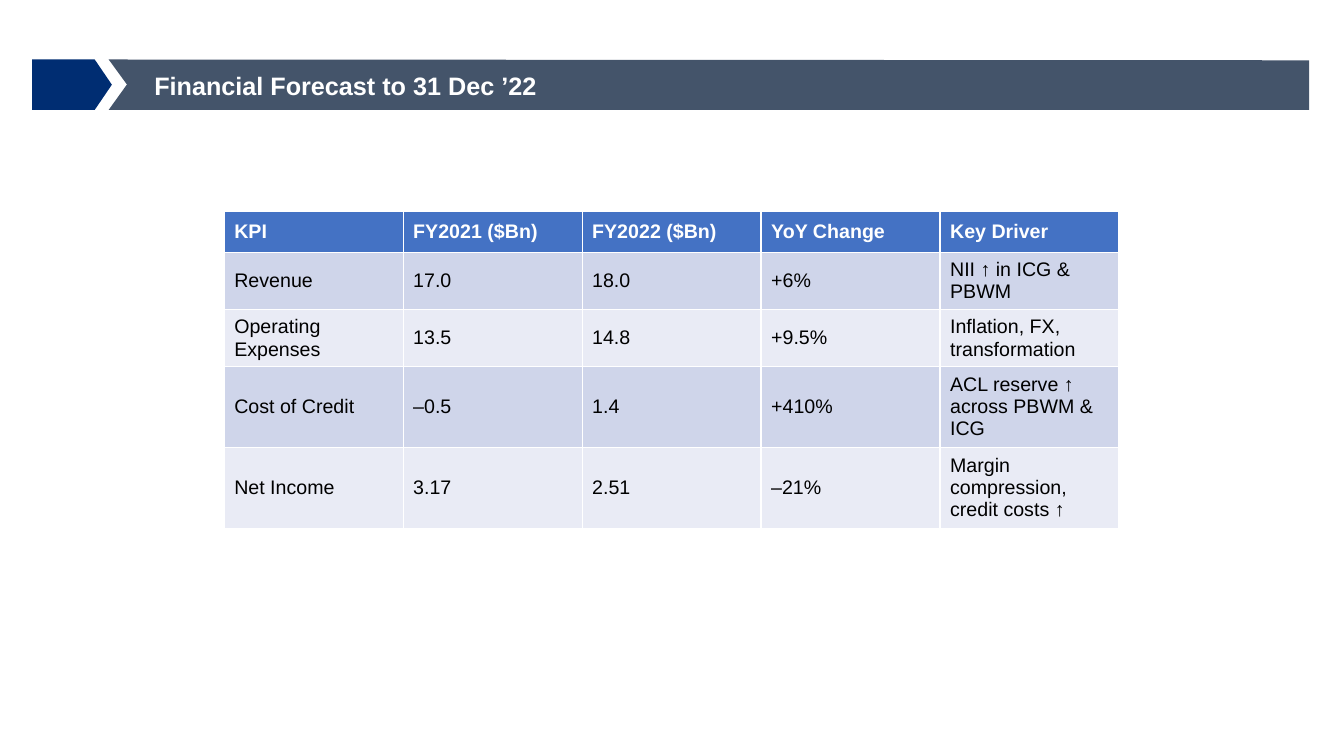
"""Build a slide with a financial forecast table under a title bar."""
from pptx import Presentation
from pptx.dml.color import RGBColor
from pptx.enum import shapes, text
from pptx.util import Cm, Pt

TITLE = "Financial Forecast to 31 Dec ’22"
ROWS = [
    ("KPI", "FY2021 ($Bn)", "FY2022 ($Bn)", "YoY Change", "Key Driver"),
    ("Revenue", "17.0", "18.0", "+6%", "NII ↑ in ICG & PBWM"),
    ("Operating Expenses", "13.5", "14.8", "+9.5%", "Inflation, FX, transformation"),
    ("Cost of Credit", "–0.5", "1.4", "+410%", "ACL reserve ↑ across PBWM & ICG"),
    ("Net Income", "3.17", "2.51", "–21%", "Margin compression, credit costs ↑"),
]
HIGHS = (1.03, 1.37, 1.37, 1.92, 1.92)
WIDE = 4.51
LEFT, TOP = 5.65, 5.33
BAR = [(2.74, 1.5), (32.99, 1.52), (32.99, 2.77), (2.74, 2.77), (3.2, 2.13)]

FONT = "Arial"
NAVY = RGBColor(0x00, 0x2D, 0x72)
SLATE = RGBColor(0x44, 0x54, 0x6A)
BLUE = RGBColor(0x44, 0x72, 0xC4)
BANDS = (RGBColor(0xE9, 0xEB, 0xF5), RGBColor(0xCF, 0xD5, 0xEA))
WHITE = RGBColor(0xFF, 0xFF, 0xFF)
BLACK = RGBColor(0x00, 0x00, 0x00)


def paint(shape, color):
    shape.shadow.inherit = False
    shape.fill.solid()
    shape.fill.fore_color.rgb = color
    shape.line.fill.background()


def write(frame, words, size, color, bold):
    run = frame.paragraphs[0].add_run()
    run.text = words
    font = run.font
    font.name, font.size, font.bold = FONT, Pt(size), bold
    font.color.rgb = color


def add_head(slide):
    tag = slide.shapes.add_shape(
        shapes.MSO_SHAPE.PENTAGON, Cm(0.81), Cm(1.5), Cm(2.01), Cm(1.27))
    tag.adjustments[0] = 0.34
    paint(tag, NAVY)

    spots = [(Cm(x), Cm(y)) for x, y in BAR]
    pen = slide.shapes.build_freeform(*spots[0])
    pen.add_line_segments(spots[1:], close=True)
    paint(pen.convert_to_shape(), SLATE)

    box = slide.shapes.add_textbox(Cm(3.89), Cm(1.55), Cm(26.62), Cm(1.19))
    frame = box.text_frame
    frame.word_wrap = True
    frame.vertical_anchor = text.MSO_ANCHOR.MIDDLE
    frame.margin_left = frame.margin_right = 0
    frame.margin_top = frame.margin_bottom = 0
    write(frame, TITLE, 18, WHITE, True)


def add_grid(slide):
    count = len(ROWS[0])
    grid = slide.shapes.add_table(
        len(ROWS), count, Cm(LEFT), Cm(TOP),
        Cm(WIDE * count), Cm(sum(HIGHS))).table
    for col in grid.columns:
        col.width = Cm(WIDE)
    for r, (row, high) in enumerate(zip(ROWS, HIGHS)):
        grid.rows[r].height = Cm(high)
        head = r == 0
        for c, words in enumerate(row):
            cell = grid.cell(r, c)
            cell.fill.solid()
            cell.fill.fore_color.rgb = BLUE if head else BANDS[r % 2]
            cell.vertical_anchor = text.MSO_ANCHOR.MIDDLE
            write(cell.text_frame, words, 14, WHITE if head else BLACK, head)


def main():
    deck = Presentation()
    deck.slide_width, deck.slide_height = Cm(33.87), Cm(19.05)
    slide = deck.slides.add_slide(deck.slide_layouts[6])
    add_head(slide)
    add_grid(slide)
    deck.save("out.pptx")


if __name__ == "__main__":
    main()
